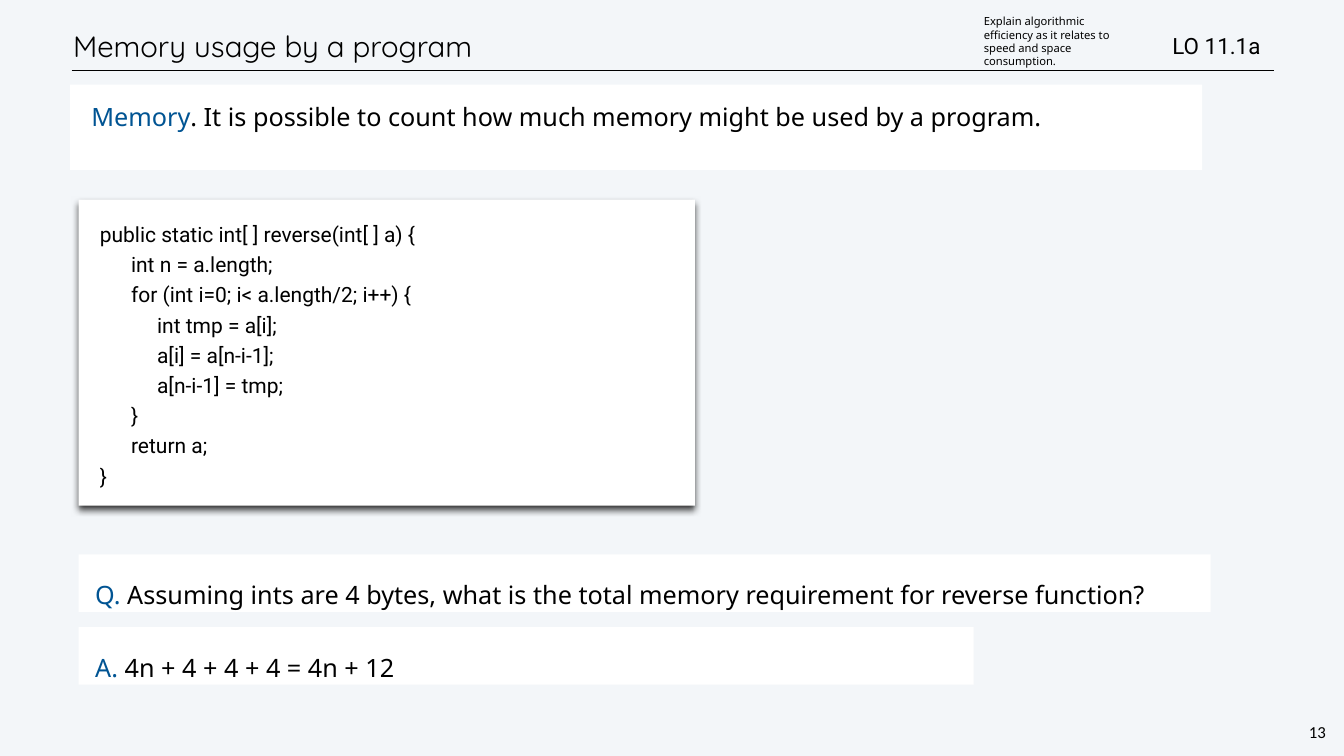
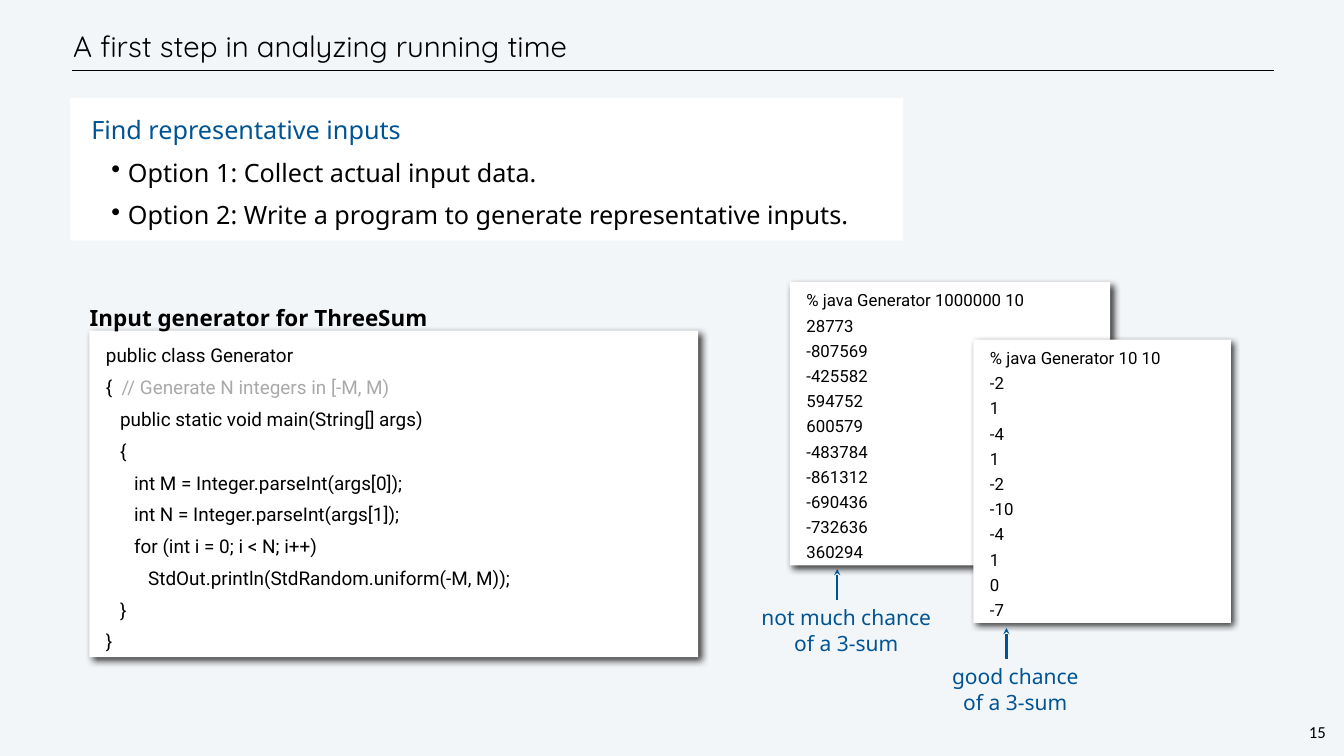
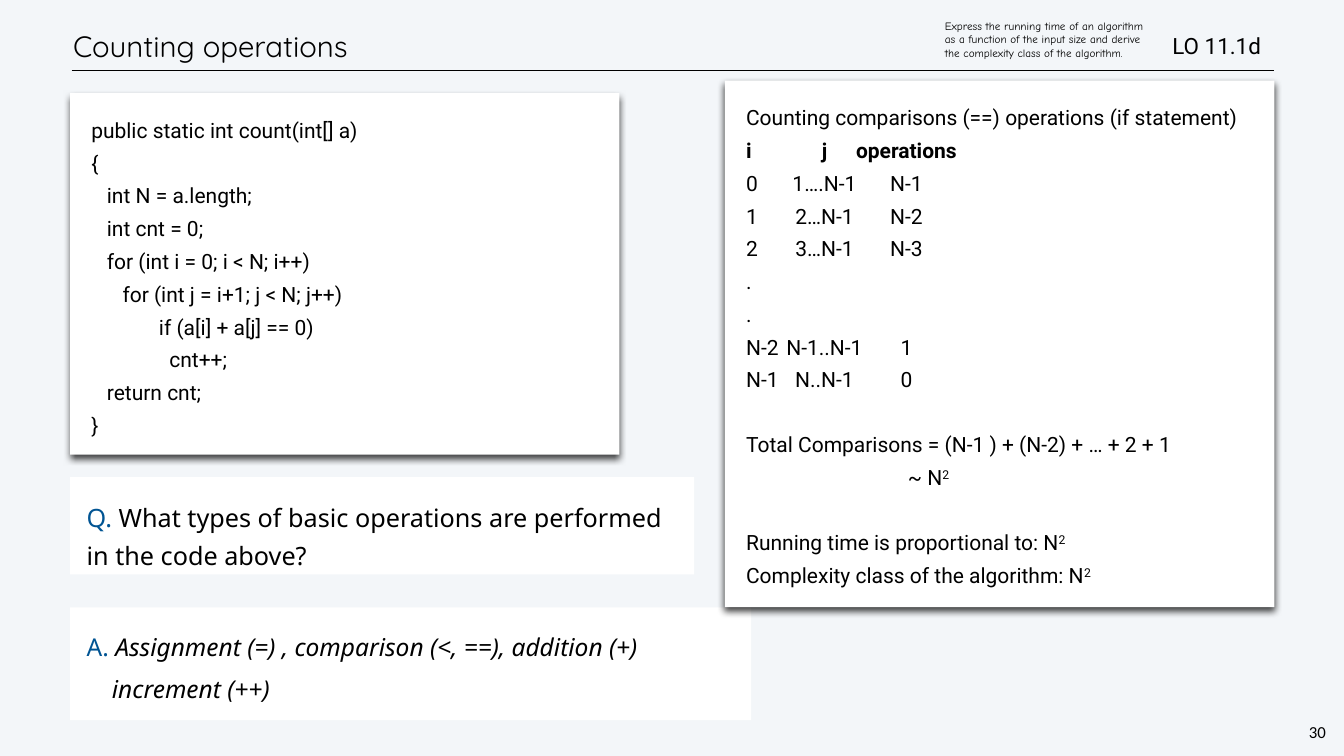
from dataclasses import dataclass
from lxml import etree
from pptx import Presentation
from pptx import util as u
from pptx.dml.color import RGBColor
from pptx.enum import shapes, text
from pptx.oxml import ns

BLACK = RGBColor(0, 0, 0)
WHITE = RGBColor(255, 255, 255)
BLUE = RGBColor(0x00, 0x54, 0x93)
GREY = RGBColor(0xA9, 0xA9, 0xA9)
PALE = RGBColor(0xF3, 0xF6, 0xF9)

SANS, CODE, HEAD = "Noto Sans", "Roboto", "Quicksand"
MID = text.MSO_ANCHOR.MIDDLE
PAD, DEEP, THIN = 0.84, 1.07, 0.15

REVERSE = """\
public static int[ ] reverse(int[ ] a) {
      int n = a.length;
      for (int i=0; i< a.length/2; i++) {
           int tmp = a[i];
           a[i] = a[n-i-1];
           a[n-i-1] = tmp;
      }
      return a;
}""".splitlines()

MAKER = """\
   public static void main(String[] args)
   {
      int M = Integer.parseInt(args[0]);
      int N = Integer.parseInt(args[1]);
      for (int i = 0; i < N; i++)
         StdOut.println(StdRandom.uniform(-M, M));
   }
}""".splitlines()

COUNT = """\
public static int count(int[] a)
{
   int N = a.length;
   int cnt = 0;
   for (int i = 0; i < N; i++)
      for (int j = i+1; j < N; j++)
             if (a[i] + a[j] == 0)
               cnt++;
   return cnt;
}""".splitlines()

WIDE = "28773 -807569 -425582 594752 600579 -483784 -861312 -690436 -732636 360294"
NEAR = "-2 1 -4 1 -2 -10 -4 1 0 -7"


@dataclass
class Para:
    runs: object
    left: float = 0
    hang: float = 0
    before: float = 0
    mark: str = ""
    stops: tuple = ()


def node(parent, tag, **attrs):
    return etree.SubElement(parent, ns.qn(tag), {k: str(v) for k, v in attrs.items()})


def write(frame, paras, size=36, font=SANS, color=BLACK, bold=False, lead=1.0,
          align=None, anchor=text.MSO_ANCHOR.TOP, pad=PAD, left=None, foot=None, wrap=True):
    frame.word_wrap = wrap
    frame.vertical_anchor = anchor
    frame.margin_top = frame.margin_right = u.Cm(pad)
    frame.margin_left = u.Cm(pad if left is None else left)
    frame.margin_bottom = u.Cm(pad if foot is None else foot)
    for n, item in enumerate(paras):
        item = item if isinstance(item, Para) else Para(item)
        para = frame.add_paragraph() if n else frame.paragraphs[0]
        props = para._p.get_or_add_pPr()
        if item.left:
            props.set("marL", str(u.Cm(item.left)))
            props.set("indent", str(u.Cm(item.hang)))
        if item.mark:
            node(props, "a:buSzPct", val=104000)
            node(props, "a:buChar", char=item.mark)
            para.level = 1
        if item.stops:
            tabs = node(props, "a:tabLst")
            for stop in item.stops:
                node(tabs, "a:tab", pos=u.Cm(stop), algn="ctr")
        para.alignment = align or text.PP_ALIGN.LEFT
        para.line_spacing = u.Pt(lead) if lead > 5 else lead
        para.space_before = u.Pt(item.before)
        runs = [item.runs] if isinstance(item.runs, str) else item.runs
        for part in runs:
            words, style = (part, {}) if isinstance(part, str) else part
            run = para.add_run()
            run.text = words
            run.font.name, run.font.size = font, u.Pt(size)
            run.font.bold = style.get("bold", bold)
            run.font.italic = style.get("italic", False)
            run.font.color.rgb = style.get("color", color)
            if style.get("power"):
                run._r.get_or_add_rPr().set("baseline", "30000")


class Deck:
    def __init__(self):
        self.show = Presentation()
        self.show.slide_width, self.show.slide_height = u.Cm(67.73), u.Cm(38.1)
        fill = self.show.slide_master.background.fill
        fill.solid()
        fill.fore_color.rgb = PALE

    def page(self, title, num):
        self.slide = self.show.slides.add_slide(self.show.slide_layouts[6])
        self.line((3.61, 3.56), (64.19, 3.56), BLACK, 1)
        self.label((3.53, 1.07, 57.45, 2.51), [title], size=42, font=HEAD, lead=50, anchor=MID)
        self.label((65.84, 36.3, 1.09, 1.19), [str(num)], size=24, font="Calibri", lead=28,
                   pad=0.1, align=text.PP_ALIGN.CENTER, wrap=False)

    def line(self, start, end, color, width, home=None, head=False):
        home = home or self.slide.shapes
        line = home.add_connector(shapes.MSO_CONNECTOR.STRAIGHT,
                                  *(u.Cm(v) for v in (*start, *end)))
        line.line.color.rgb = color
        line.line.width = u.Pt(width)
        if head:
            node(line.line._get_or_add_ln(), "a:headEnd", type="stealth")
        node(line._element.spPr, "a:effectLst")

    def label(self, box, paras, home=None, pad=THIN, **style):
        home = home or self.slide.shapes
        shape = home.add_textbox(*map(u.Cm, box))
        write(shape.text_frame, paras, pad=pad, **style)

    def panel(self, box, paras, angle=None, **style):
        shape = self.slide.shapes.add_shape(shapes.MSO_SHAPE.RECTANGLE, *map(u.Cm, box))
        shape.shadow.inherit = False
        shape.fill.solid()
        shape.fill.fore_color.rgb = WHITE
        shape.line.fill.background()
        if angle is not None:
            glow = shape._element.spPr.find(ns.qn("a:effectLst"))
            cast = node(glow, "a:outerShdw", blurRad=u.Pt(10), dist=u.Pt(6),
                        dir=angle * 60000, rotWithShape=0)
            node(node(cast, "a:srgbClr", val=BLACK), "a:alpha", val=75000)
        write(shape.text_frame, paras, **style)

    def code(self, box, paras, size=30, lead=1.3, **style):
        self.panel(box, paras, angle=90, size=size, font=CODE, lead=lead, left=DEEP, **style)

    def dump(self, box, paras, size=24, lead=36):
        self.panel(box, paras, angle=45, size=size, font=CODE, lead=lead, anchor=MID)

    def note(self, box, paras, tip, drop=1.55):
        group = self.slide.shapes.add_group_shape().shapes
        self.label(box, [paras[0], Para(paras[1], before=2)], home=group, size=30, color=BLUE,
                   lead=36, align=text.PP_ALIGN.CENTER, wrap=False)
        self.line(tip, (tip[0], tip[1] + drop), BLUE, 3, home=group, head=True)

    def goal(self, tag, box, words, font=SANS):
        self.label((58.93, 1.47, 7.59, 1.65), [f"LO {tag}"], size=32, font=CODE, anchor=MID)
        self.label(box, [words], size=16, font=font, lead=19, anchor=MID, foot=0.6)


def blue(words):
    return words, {"color": BLUE}


def power(words):
    return [words, ("2", {"power": True})]


def memory(deck):
    deck.page("Memory usage by a program", 13)
    deck.panel((3.53, 4.27, 57.05, 4.29), [[
        blue("Memory"),
        ". It is possible to count how much memory might be used by a program."]],
        lead=43, left=DEEP)
    deck.panel((3.96, 27.94, 57.05, 2.9), [[
        blue("Q. "),
        "Assuming ints are 4 bytes, what is the total memory requirement for reverse function?"]],
        lead=55)
    deck.panel((3.96, 31.6, 45.11, 2.9), [[blue("A. "), "4n + 4 + 4 + 4 = 4n + 12"]], lead=55)
    deck.code((3.96, 10.06, 31.06, 15.42), REVERSE, lead=1.2)
    deck.goal("11.1a", (49.43, 0.89, 7.59, 2.84),
              "Explain algorithmic efficiency as it relates to speed and space consumption.")


def inputs(deck):
    deck.page("A first step in analyzing running time", 15)
    picks = ["Option 1: Collect actual input data.",
             "Option 2: Write a program to generate representative inputs."]
    deck.panel((3.53, 4.93, 41.99, 7.19),
               [[blue("Find representative inputs")]]
               + [Para(p, left=1.85, hang=-0.84, before=18, mark="•") for p in picks],
               lead=43, left=DEEP)
    deck.dump((4.5, 16.66, 30.68, 16.46), [
        "public class Generator",
        ["{  ", ("// Generate N integers in [-M, M)", {"color": GREY})], *MAKER],
        size=27, lead=1.4)
    deck.label((4.37, 14.76, 17.96, 1.63), ["Input generator for ThreeSum"],
               size=32, bold=True, lead=50)
    deck.dump((39.8, 14.22, 16.15, 14.27), ["% java Generator 1000000 10", *WIDE.split()])
    deck.dump((49.05, 17.12, 12.98, 14.27), ["% java Generator 10 10", *NEAR.split()])
    deck.note((37.92, 30.3, 9.45, 2.82), ["not much chance", "of a 3-sum"], (42.19, 28.68))
    deck.note((47.57, 33.27, 7.19, 2.82), ["good chance", "of a 3-sum"], (50.72, 31.65))


def counting(deck):
    deck.page("Counting operations", 30)
    deck.panel((3.53, 24.05, 31.45, 4.9), [[
        blue("Q. "), "What types of basic operations are performed in the code above?"]], lead=55)
    slant = {"italic": True}
    deck.panel((3.53, 30.61, 34.32, 5.69), [
        [blue("A. "), ("Assignment (=) , comparison (<, ==), addition (+)", slant)],
        Para([("increment (++)", slant)], left=1.27, before=6)], size=35, lead=54)
    deck.code((3.53, 4.7, 27.69, 18.21), COUNT)
    stops = (3.95, 8.08)
    rows = [("0", "1….N-1", "N-1"), ("1", "2…N-1", "N-2"), ("2", "3…N-1", "N-3"),
            ".", ".", ("N-2", "N-1..N-1", "1"), ("N-1", "N..N-1", "0")]
    deck.code((36.53, 4.06, 27.69, 26.54), [
        "Counting comparisons (==) operations (if statement)",
        Para([("i\tj\toperations", {"bold": True})], stops=stops),
        *[Para("\t".join(row), stops=stops) for row in rows],
        Para("Total Comparisons = (N-1 ) + (N-2) + … + 2 + 1", before=46),
        Para(power("~ N"), left=8.15),
        Para(power("Running time is proportional to: N"), before=46),
        power("Complexity class of the algorithm: N")])
    deck.goal("11.1d", (47.47, 0.38, 10.69, 3.68),
              "Express the running time of an algorithm as a function of the input size "
              "and derive the complexity class of the algorithm.", font="Comic Neue")


def main():
    deck = Deck()
    for build in (memory, inputs, counting):
        build(deck)
    deck.show.save("out.pptx")


if __name__ == "__main__":
    main()
